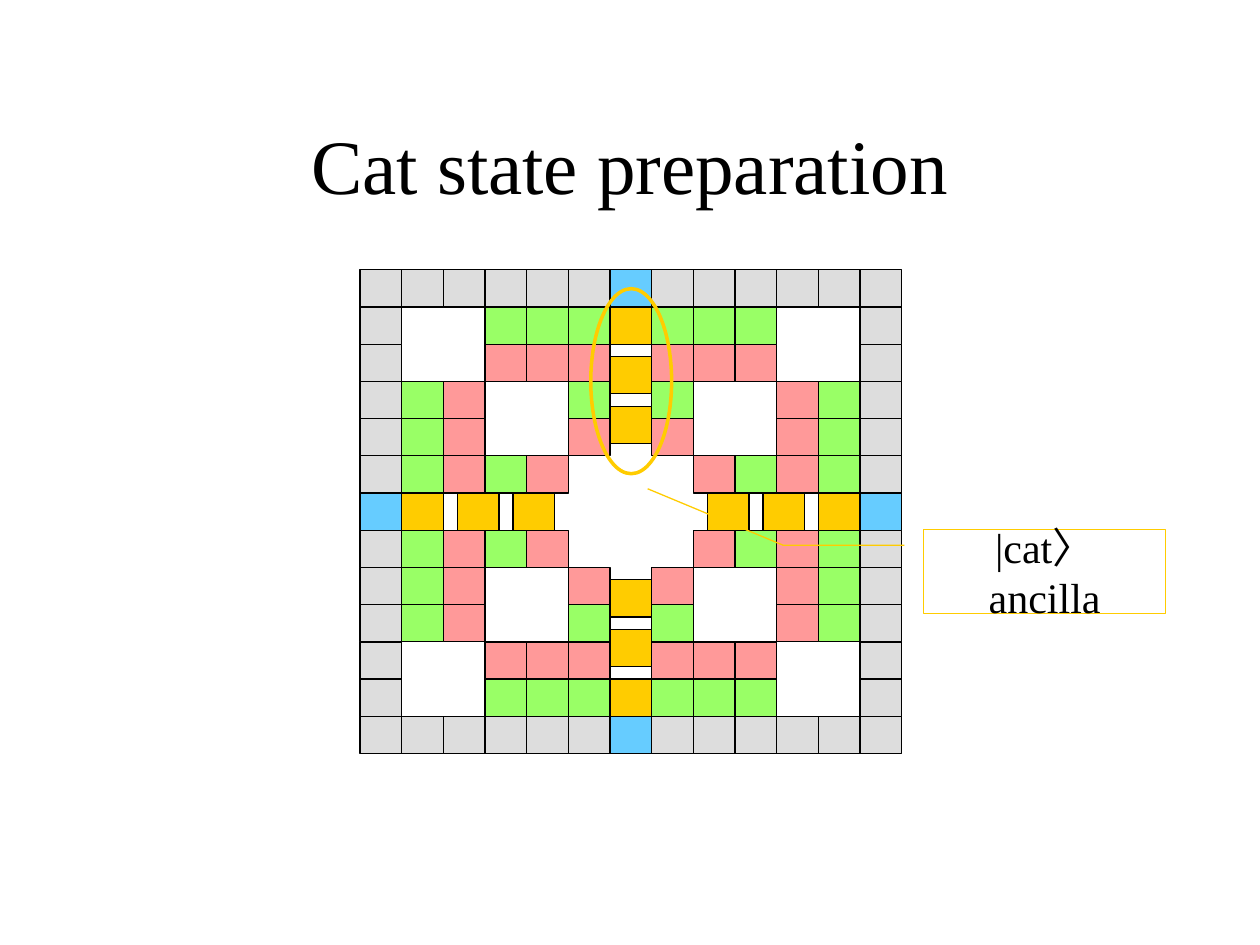
import dataclasses

import pptx
import pptx.dml.color
import pptx.enum.shapes
import pptx.enum.text
import pptx.util

Cm = pptx.util.Cm
Pt = pptx.util.Pt
Shapes = pptx.enum.shapes.MSO_SHAPE


def color(value):
    return pptx.dml.color.RGBColor.from_string(value)


@dataclasses.dataclass(frozen=True)
class Theme:
    text: str = "000000"
    outline: str = "000000"
    gold: str = "FFCC00"
    gray: str = "DDDDDD"
    blue: str = "66CCFF"
    green: str = "99FF66"
    red: str = "FF9999"
    font: str = "Times New Roman"
    symbol_font: str = "Arial"
    title_size: int = 44
    label_size: int = 24
    thin: float = 0.75
    thick: float = 2


class SlideBuilder:
    def __init__(self, presentation, theme):
        self.theme = theme
        self.slide = presentation.slides.add_slide(presentation.slide_layouts[5])

    def label(self, shape, runs, size):
        frame = shape.text_frame
        frame_format = {
            "word_wrap": True,
            "auto_size": pptx.enum.text.MSO_AUTO_SIZE.NONE,
            "vertical_anchor": pptx.enum.text.MSO_ANCHOR.MIDDLE,
            "margin_left": Cm(0.25), "margin_right": Cm(0.25),
            "margin_top": Cm(0.13), "margin_bottom": Cm(0.13),
        }
        for name, value in frame_format.items():
            setattr(frame, name, value)
        paragraph = frame.paragraphs[0]
        paragraph.alignment = pptx.enum.text.PP_ALIGN.CENTER
        for text, font in runs:
            run = paragraph.add_run()
            run.text = text
            for name, value in {"name": font, "size": Pt(size)}.items():
                setattr(run.font, name, value)
            run.font.color.rgb = color(self.theme.text)

    def title(self, text, left, top, width, height):
        title = self.slide.shapes.title
        place = {"left": left, "top": top, "width": width, "height": height}
        for name, value in place.items():
            setattr(title, name, Cm(value))
        self.label(title, [(text, self.theme.font)], self.theme.title_size)

    def shape(self, kind, box, line, weight, fill=None, parent=None):
        parent = parent or self.slide
        shape = parent.shapes.add_shape(kind, *map(Cm, box))
        shape.shadow.inherit = False
        if fill:
            shape.fill.solid()
            shape.fill.fore_color.rgb = color(fill)
        else:
            shape.fill.background()
        shape.line.color.rgb = color(line)
        shape.line.width = Pt(weight)
        return shape

    def lattice(self, left, top, cell_width, cell_height, cells):
        group = self.slide.shapes.add_group_shape()
        for column, row, fill in cells:
            box = (left + column * cell_width, top + row * cell_height,
                   cell_width, cell_height)
            self.shape(Shapes.RECTANGLE, box, self.theme.outline,
                       self.theme.thin, fill, group)

    def ring(self, *box):
        self.shape(Shapes.OVAL, box, self.theme.gold, self.theme.thick)

    def callout(self, runs, adjustments, *box):
        callout = self.shape(Shapes.LINE_CALLOUT_2, box, self.theme.gold, self.theme.thin)
        for index, value in enumerate(adjustments):
            callout.adjustments[index] = value
        self.label(callout, runs, self.theme.label_size)


def lattice_cells(theme):
    upper_rows = [
        "DDDDDDBDDDDDD",
        "D..GGG.GGG..D",
        "D..RRR.RRR..D",
        "DGR..G.G..RGD",
        "DGR..R.R..RGD",
        "DGRGR...RGRGD",
    ]
    rows = upper_rows + ["B...........B"] + upper_rows[::-1]
    fills = {"D": theme.gray, "B": theme.blue, "G": theme.green, "R": theme.red}
    cells = [(column, row, fills[code])
             for row, codes in enumerate(rows)
             for column, code in enumerate(codes) if code in fills]
    middle, last = 6, 12
    for step in range(3):
        near = 1 + step * 4 / 3
        for position in (near, last - near):
            cells.append((middle, position, theme.gold))
            cells.append((position, middle, theme.gold))
    return cells


def main():
    presentation = pptx.Presentation()
    presentation.slide_width = Cm(25.4)
    presentation.slide_height = Cm(19.05)
    theme = Theme()
    builder = SlideBuilder(presentation, theme)
    builder.title("Cat state preparation", 1.9, 1.7, 21.6, 3.18)
    builder.lattice(7.26, 5.44, 0.84, 0.75, lattice_cells(theme))
    builder.ring(11.91, 5.82, 1.63, 3.73)
    builder.callout(
        [("|cat", theme.font), ("〉", theme.symbol_font), (" ancilla", theme.font)],
        [0.19, -0.08, 0.19, -0.58, -0.48, -1.14],
        18.62, 10.67, 4.88, 1.7)
    presentation.save("out.pptx")


if __name__ == "__main__":
    main()
